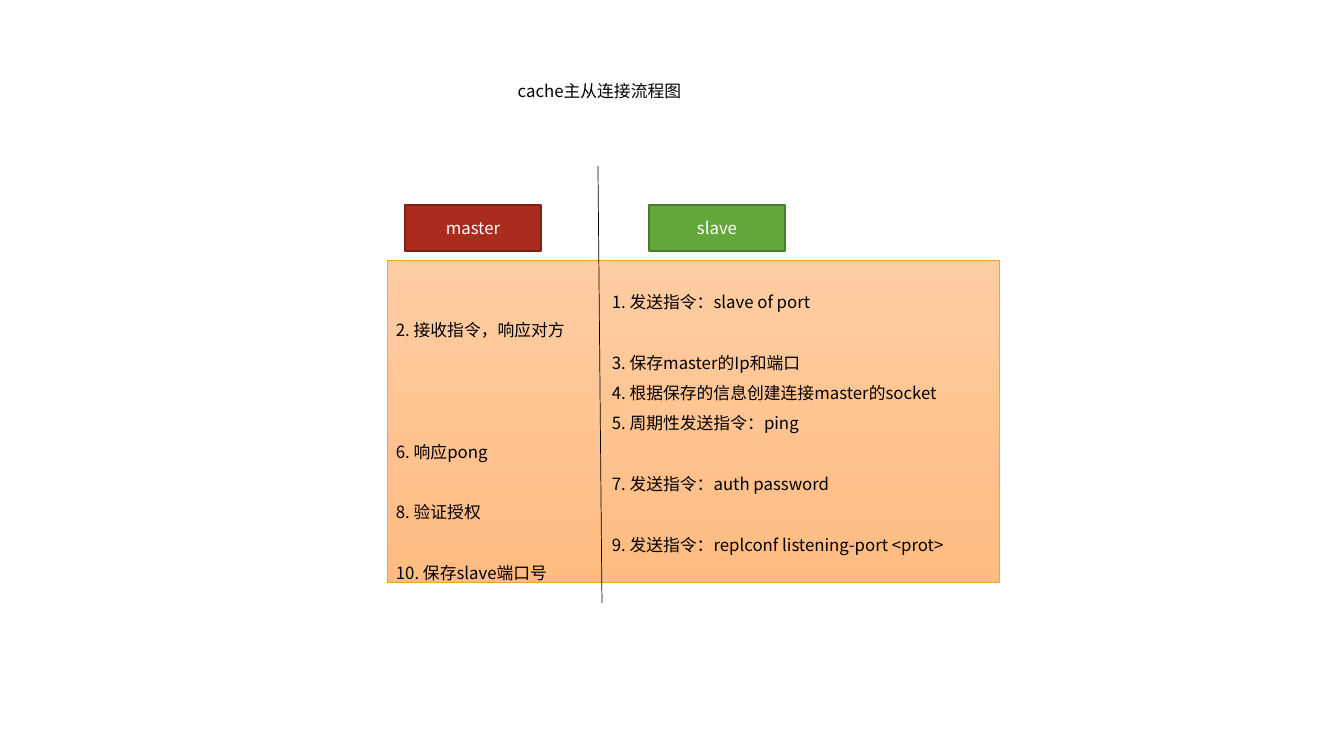
from lxml import etree
from pptx import Presentation
from pptx import util as u
from pptx.dml.color import RGBColor
from pptx.enum import shapes, text
from pptx.oxml.ns import qn

PX = 914400 / 100.8
FONT = "Noto Sans CJK SC"
STEP_PITCH = 21.7  # points from one step number to the next

COLORS = {
    "black": "000000", "white": "FFFFFF",
    "panel_top": "FFCDA3", "panel_bottom": "FFBC81", "panel_line": "FDA023",
    "master": "AA2B1E", "master_line": "7E2016",
    "slave": "64A73B", "slave_line": "4A7C2C",
}
FRAME_FORMAT = {
    "word_wrap": True, "auto_size": text.MSO_AUTO_SIZE.NONE,
    "margin_left": u.Inches(0.1), "margin_right": u.Inches(0.1),
    "margin_top": u.Inches(0.05), "margin_bottom": u.Inches(0.05),
}
MASTER_STEPS = {
    2: "接收指令，响应对方",
    6: "响应pong",
    8: "验证授权",
    10: "保存slave端口号",
}
SLAVE_STEPS = {
    1: "发送指令：slave of port",
    3: "保存master的Ip和端口",
    4: "根据保存的信息创建连接master的socket",
    5: "周期性发送指令：ping",
    7: "发送指令：auth password",
    9: "发送指令：replconf listening-port <prot>",
}


def px(*lengths):
    return [u.Emu(round(n * PX)) for n in lengths]


def rgb(name):
    return RGBColor.from_string(COLORS[name])


def set_format(obj, values):
    for name, value in values.items():
        setattr(obj, name, value)


def set_line(line, color, width):
    line.color.rgb = rgb(color)
    line.width = u.Pt(width)


def write(p, words, color="black", **paragraph_format):
    set_format(p, paragraph_format)
    r = p.add_run()
    r.text = words
    set_format(r.font, {"name": FONT, "size": u.Pt(12), "bold": False})
    r.font.color.rgb = rgb(color)
    ea = etree.SubElement(r.font._element, qn("a:ea"))
    ea.set("typeface", FONT)


def add_title(slide, words, box):
    sp = slide.shapes.title
    set_format(sp, dict(zip(("left", "top", "width", "height"), px(*box))))
    tf = sp.text_frame
    set_format(tf, {**FRAME_FORMAT, "vertical_anchor": text.MSO_ANCHOR.TOP})
    write(tf.paragraphs[0], words, alignment=text.PP_ALIGN.CENTER)


def add_rectangle(slide, box, line_color, line_width):
    sp = slide.shapes.add_shape(shapes.MSO_SHAPE.RECTANGLE, *px(*box))
    sp.shadow.inherit = False
    set_line(sp.line, line_color, line_width)
    return sp


def add_panel(slide, box):
    sp = add_rectangle(slide, box, "panel_line", 0.5)
    sp.fill.gradient()
    sp.fill.gradient_angle = 270
    for stop, color in zip(sp.fill.gradient_stops, ("panel_top", "panel_bottom")):
        stop.color.rgb = rgb(color)


def add_role(slide, role, box):
    sp = add_rectangle(slide, box, role + "_line", 1)
    sp.fill.solid()
    sp.fill.fore_color.rgb = rgb(role)
    tf = sp.text_frame
    tf.vertical_anchor = text.MSO_ANCHOR.MIDDLE
    write(tf.paragraphs[0], role, "white", alignment=text.PP_ALIGN.CENTER)


def add_divider(slide, ends):
    line = slide.shapes.add_connector(shapes.MSO_CONNECTOR.STRAIGHT, *px(*ends))
    set_line(line.line, "black", 0.5)
    etree.SubElement(line._element.spPr, qn("a:effectLst"))


def add_steps(slide, steps, box):
    """Numbered steps, with room left for the numbers the other side takes."""
    tf = slide.shapes.add_textbox(*px(*box)).text_frame
    set_format(tf, FRAME_FORMAT)
    previous = None
    for number, words in steps.items():
        p = tf.paragraphs[0] if previous is None else tf.add_paragraph()
        skipped = 0 if previous is None else number - previous - 1
        write(p, f"{number}. {words}", line_spacing=1.5,
              space_before=u.Pt(skipped * STEP_PITCH))
        previous = number


def main():
    prs = Presentation()
    prs.slide_width, prs.slide_height = px(1344, 756)
    slide = prs.slides.add_slide(prs.slide_layouts.get_by_name("Title Only"))

    add_title(slide, "cache主从连接流程图", (469, 76, 261, 30))
    add_panel(slide, (387, 260, 612, 322))
    for role, left in (("master", 405), ("slave", 649)):
        add_role(slide, role, (left, 205, 136, 46))
    add_divider(slide, (598, 166, 602, 603))
    add_steps(slide, SLAVE_STEPS, (602, 277, 397, 285))
    add_steps(slide, MASTER_STEPS, (386, 305, 208, 285))
    prs.save("out.pptx")


if __name__ == "__main__":
    main()
